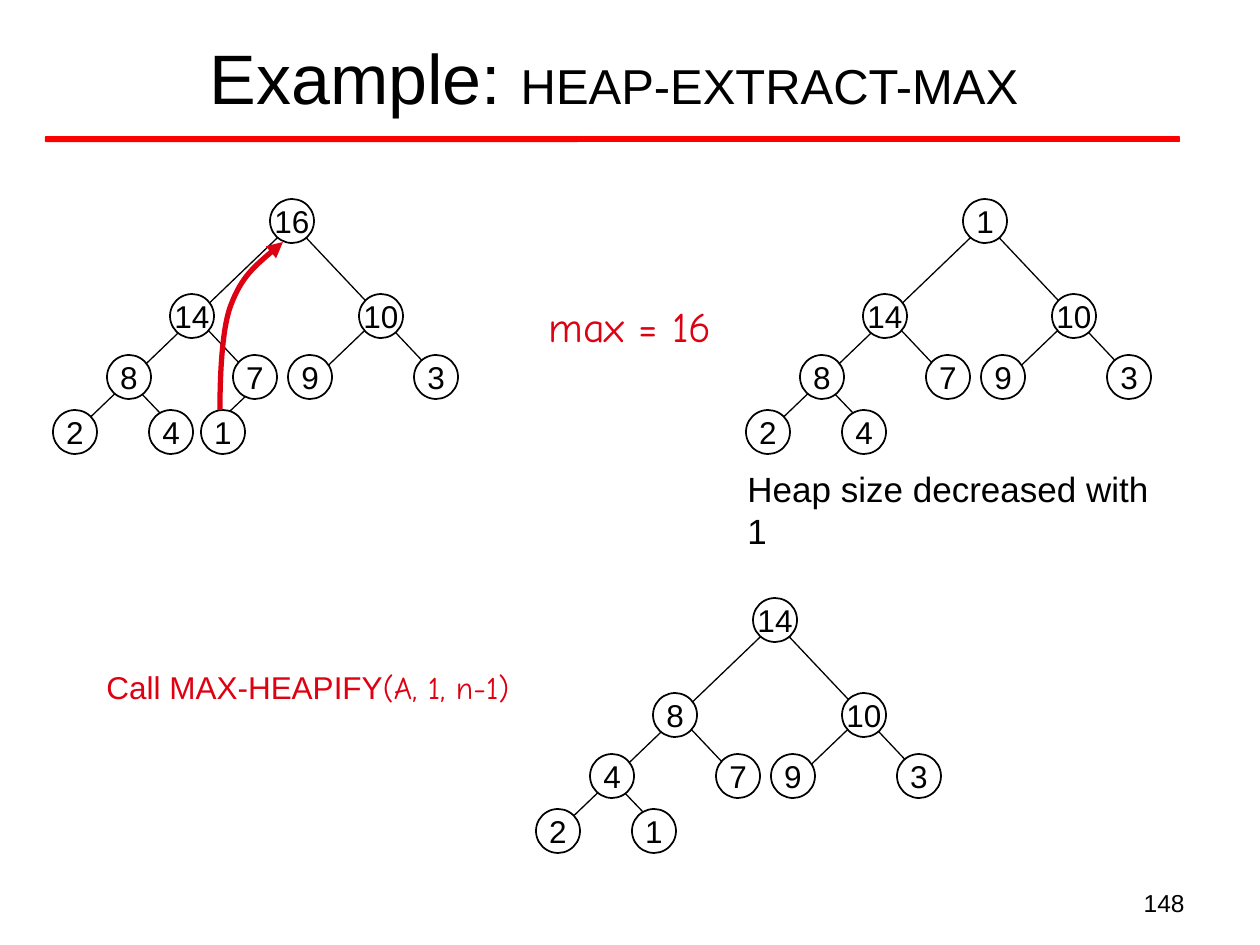
"""Build the HEAP-EXTRACT-MAX example slide with three heap trees."""
from lxml import etree
from pptx import Presentation
from pptx import util as u
from pptx.dml.color import RGBColor
from pptx.enum import shapes, text
from pptx.oxml.ns import qn

SCALE = 914400 / 126
BLACK = RGBColor(0, 0, 0)
WHITE = RGBColor(255, 255, 255)
RED = RGBColor(255, 0, 0)
CRIMSON = RGBColor(0xDD, 0x01, 0x11)


def px(*lengths):
    return [u.Emu(round(length * SCALE)) for length in lengths]


def write(holder, *runs, color=BLACK, align=text.PP_ALIGN.LEFT,
          anchor=text.MSO_ANCHOR.TOP, wrap=True, margin=None):
    frame = holder.text_frame
    frame.word_wrap = wrap
    frame.vertical_anchor = anchor
    if margin is not None:
        frame.margin_left = frame.margin_right = margin
        frame.margin_top = frame.margin_bottom = margin
    paragraph = frame.paragraphs[0]
    paragraph.alignment = align
    for words, size, face in runs:
        run = paragraph.add_run()
        run.text = words
        run.font.size = u.Pt(size)
        run.font.name = face
        run.font.color.rgb = color


deck = Presentation()
deck.slide_width, deck.slide_height = px(1260, 945)
slide = deck.slides.add_slide(deck.slide_layouts[6])
canvas = slide.shapes

rule = canvas.add_shape(shapes.MSO_SHAPE.ROUNDED_RECTANGLE, *px(45, 136, 1135, 6))
rule.shadow.inherit = False
rule.fill.solid()
rule.fill.fore_color.rgb = RED
rule.line.fill.background()

write(canvas.add_textbox(*px(47, 14, 1134, 125)),
      ("Example: ", 40, "Arial"), ("HEAP-EXTRACT-MAX", 28, "Arial"),
      align=text.PP_ALIGN.CENTER, anchor=text.MSO_ANCHOR.MIDDLE)
write(canvas.add_textbox(*px(903, 882, 294, 44)), ("148", 14, "Arial"),
      align=text.PP_ALIGN.RIGHT)

NODE = 44
CENTERS = [(292, 221), (192, 316), (381, 316), (129, 377), (255, 377),
           (310, 377), (436, 377), (75, 432), (171, 432), (223, 432)]
BRANCHES = [(311, 382, 382, 314), (183, 437, 116, 367), (257, 382, 190, 311),
            (447, 387, 280, 210), (76, 431, 296, 220), (209, 431, 266, 377)]
HEAPS = [(0, 0, [16, 14, 10, 8, 7, 9, 3, 2, 4, 1]),
         (693, 0, [1, 14, 10, 8, 7, 9, 3, 2, 4]),
         (483, 399, [14, 8, 10, 4, 7, 9, 3, 2, 1])]

for dx, dy, keys in HEAPS:
    for x1, y1, x2, y2 in BRANCHES[:len(keys) - 4]:
        branch = canvas.add_connector(shapes.MSO_CONNECTOR.STRAIGHT,
                                      *px(x1 + dx, y1 + dy, x2 + dx, y2 + dy))
        branch.line.color.rgb = BLACK
        branch.line.width = u.Pt(0.75)
        etree.SubElement(branch._element.spPr, qn("a:effectLst"))
    for key, (x, y) in zip(keys, CENTERS):
        node = canvas.add_shape(
            shapes.MSO_SHAPE.OVAL,
            *px(x + dx - NODE // 2, y + dy - NODE // 2, NODE, NODE))
        node.shadow.inherit = False
        node.fill.solid()
        node.fill.fore_color.rgb = WHITE
        node.line.color.rgb = BLACK
        node.line.width = u.Pt(1)
        write(node, (str(key), 18, "Arial"), align=text.PP_ALIGN.CENTER,
              anchor=text.MSO_ANCHOR.MIDDLE, wrap=False, margin=0)

LEFT, TOP = 220, 242
CURVES = [[(262, 260), (242, 276), (231, 305)],
          [(220, 333), (220, 397), (220, 410)]]
outline = canvas.build_freeform(283, TOP, scale=SCALE)
outline.add_line_segments([(LEFT, 410)], close=False)
move_up = outline.convert_to_shape()
move_up.shadow.inherit = False
move_up.fill.background()
move_up.line.color.rgb = CRIMSON
move_up.line.width = u.Pt(3)
etree.SubElement(move_up.line._get_or_add_ln(), qn("a:headEnd"), type="triangle")
track = move_up._element.spPr.find(".//" + qn("a:path"))
track.remove(track.find(qn("a:lnTo")))
for curve in CURVES:
    bend = etree.SubElement(track, qn("a:cubicBezTo"))
    for x, y in curve:
        etree.SubElement(bend, qn("a:pt"), x=str(x - LEFT), y=str(y - TOP))

write(canvas.add_textbox(*px(536, 294, 195, 63)),
      ("max = 16", 24, "Comic Neue"), color=CRIMSON)
write(canvas.add_textbox(*px(735, 461, 455, 54)),
      ("Heap size decreased with 1", 20, "Arial"))
write(canvas.add_textbox(*px(94, 662, 442, 50)),
      ("Call MAX-HEAPIFY", 18, "Arial"), ("(A, 1, n-1)", 18, "Comic Neue"),
      color=CRIMSON)

deck.save("out.pptx")
